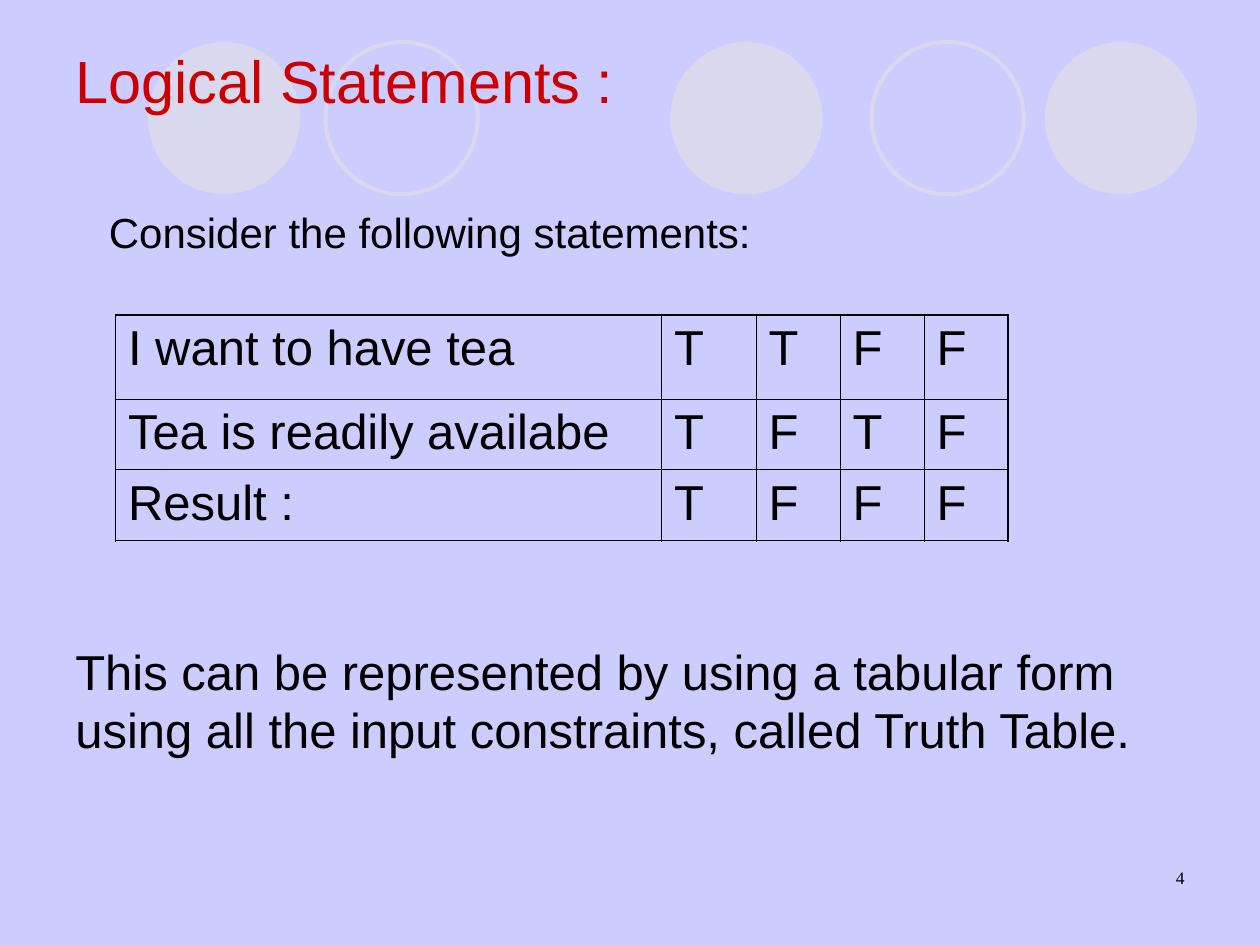
from lxml.etree import SubElement
from pptx import Presentation
from pptx.dml.color import RGBColor
from pptx.enum.shapes import MSO_SHAPE
from pptx.enum.text import MSO_ANCHOR, MSO_AUTO_SIZE, PP_ALIGN
from pptx.oxml.ns import qn
from pptx.util import Pt

LAVENDER = RGBColor(0xCC, 0xCC, 0xFF)
PALE = RGBColor(0xD9, 0xD8, 0xEC)
RED = RGBColor(0xCC, 0x00, 0x00)
BLACK = RGBColor(0x00, 0x00, 0x00)

OUTER_BORDER, INNER_BORDER = Pt(1.08), Pt(0.45)
TRUTH_ROWS = [
    ("I want to have tea", "T", "T", "F", "F"),
    ("Tea is readily availabe", "T", "F", "T", "F"),
    ("Result :", "T", "F", "F", "F"),
]


def add_run(paragraph, text, size, color=BLACK, font="Arial"):
    run = paragraph.add_run()
    run.text = text
    run.font.size = Pt(size)
    run.font.name = font
    run.font.color.rgb = color


def add_circles(slide, top, diameter):
    """Row of filled and outlined circles behind the title."""
    for left, filled in [(84.5, True), (186, False), (383, True),
                         (498, False), (597, True)]:
        circle = slide.shapes.add_shape(
            MSO_SHAPE.OVAL, Pt(left), Pt(top), Pt(diameter), Pt(diameter))
        circle.shadow.inherit = False
        if filled:
            circle.fill.solid()
            circle.fill.fore_color.rgb = PALE
            circle.line.fill.background()
        else:
            circle.fill.background()
            circle.line.color.rgb = PALE
            circle.line.width = Pt(2.25)


def place_title(slide, left, top, width, height):
    title = slide.shapes.title
    slide.shapes._spTree.append(title._element)  # in front of the circles
    title.left, title.top = Pt(left), Pt(top)
    title.width, title.height = Pt(width), Pt(height)
    frame = title.text_frame
    frame.auto_size = MSO_AUTO_SIZE.NONE
    frame.vertical_anchor = MSO_ANCHOR.MIDDLE
    heading = frame.paragraphs[0]
    heading.alignment = PP_ALIGN.LEFT
    add_run(heading, "Logical Statements :", 34, RED)
    lead_in = frame.add_paragraph()
    lead_in.alignment = PP_ALIGN.LEFT
    lead_in.space_before = Pt(52)
    lead_in._p.get_or_add_pPr().set("marL", str(Pt(19)))
    add_run(lead_in, "Consider the following statements:", 24)


def set_border(cell, side, width):
    line = SubElement(cell._tc.get_or_add_tcPr(), qn(f"a:ln{side}"), w=str(width))
    fill = SubElement(line, qn("a:solidFill"))
    SubElement(fill, qn("a:srgbClr"), val=str(BLACK))


def add_truth_table(slide, left, top, column_widths, row_heights):
    table = slide.shapes.add_table(
        len(row_heights), len(column_widths), Pt(left), Pt(top),
        Pt(sum(column_widths)), Pt(sum(row_heights))).table
    table.first_row = table.horz_banding = False
    for column, width in zip(table.columns, column_widths):
        column.width = Pt(width)
    for row, height in zip(table.rows, row_heights):
        row.height = Pt(height)
    last_row, last_column = len(row_heights) - 1, len(column_widths) - 1
    for r, values in enumerate(TRUTH_ROWS):
        for c, value in enumerate(values):
            cell = table.cell(r, c)
            edges = {"L": c == 0, "R": c == last_column,
                     "T": r == 0, "B": r == last_row}
            for side, is_outer in edges.items():
                set_border(cell, side, OUTER_BORDER if is_outer else INNER_BORDER)
            cell.fill.background()
            statement = cell.text_frame.paragraphs[0]
            statement.space_before = Pt(7)
            add_run(statement, value, 28)


def add_text_box(slide, left, top, width, height, anchor, alignment):
    """Return the first paragraph of a new wrapping text box."""
    frame = slide.shapes.add_textbox(
        Pt(left), Pt(top), Pt(width), Pt(height)).text_frame
    frame.word_wrap = True
    frame.vertical_anchor = anchor
    paragraph = frame.paragraphs[0]
    paragraph.alignment = alignment
    return paragraph


def add_conclusion(slide, left, top, width, height):
    conclusion = add_text_box(slide, left, top, width, height,
                              MSO_ANCHOR.MIDDLE, PP_ALIGN.LEFT)
    add_run(conclusion, "This can be represented by using a tabular form using "
                        "all the input constraints, called Truth Table.", 28)


def add_page_number(slide, left, top, width, height):
    number = add_text_box(slide, left, top, width, height,
                          MSO_ANCHOR.TOP, PP_ALIGN.RIGHT)
    add_run(number, "4", 10, font="Times New Roman")


def main():
    deck = Presentation()
    deck.slide_width, deck.slide_height = Pt(720), Pt(540)
    slide = deck.slides.add_slide(deck.slide_layouts[5])
    slide.background.fill.solid()
    slide.background.fill.fore_color.rgb = LAVENDER
    add_circles(slide, 24, 87)
    place_title(slide, 36, 22, 648, 128)
    add_truth_table(slide, 66, 180, [312, 54, 48, 48, 48], [48, 40.5, 40.5])
    add_conclusion(slide, 36, 336, 648, 128)
    add_page_number(slide, 516, 492, 168, 36)
    deck.save("out.pptx")


if __name__ == "__main__":
    main()
